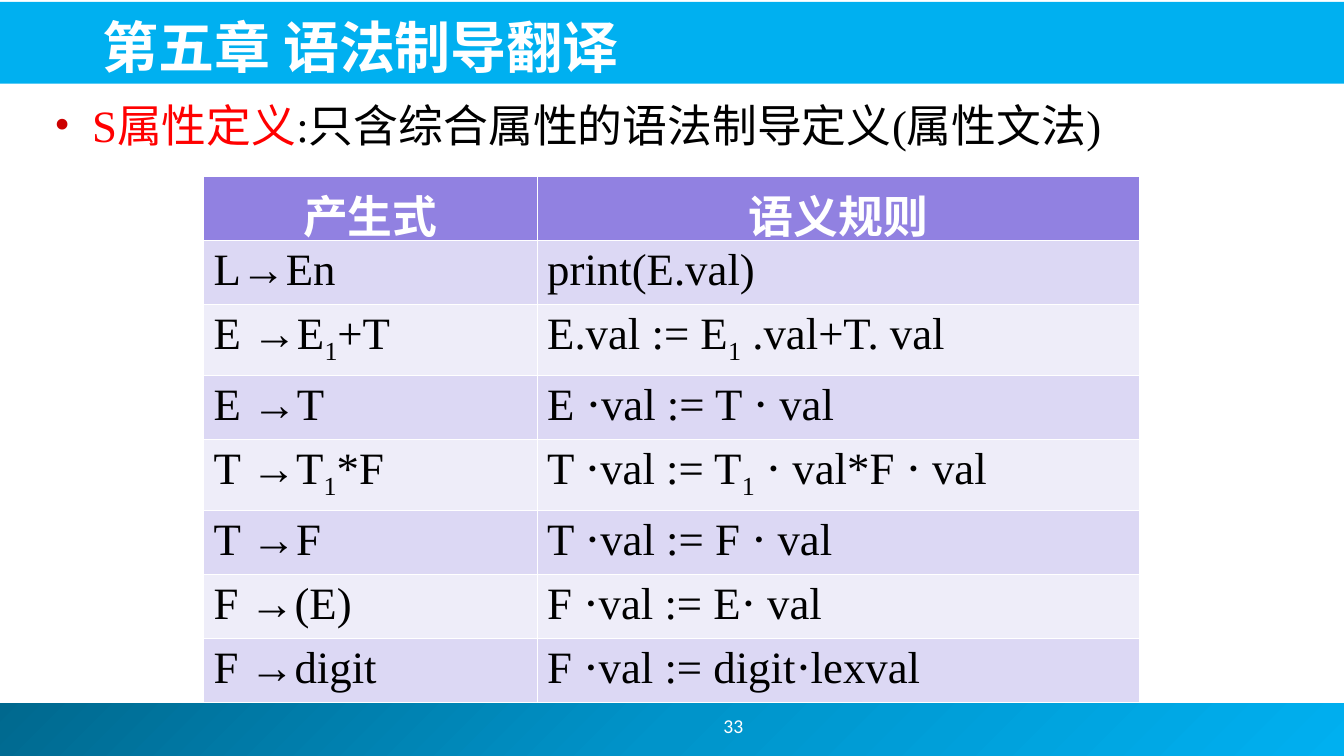
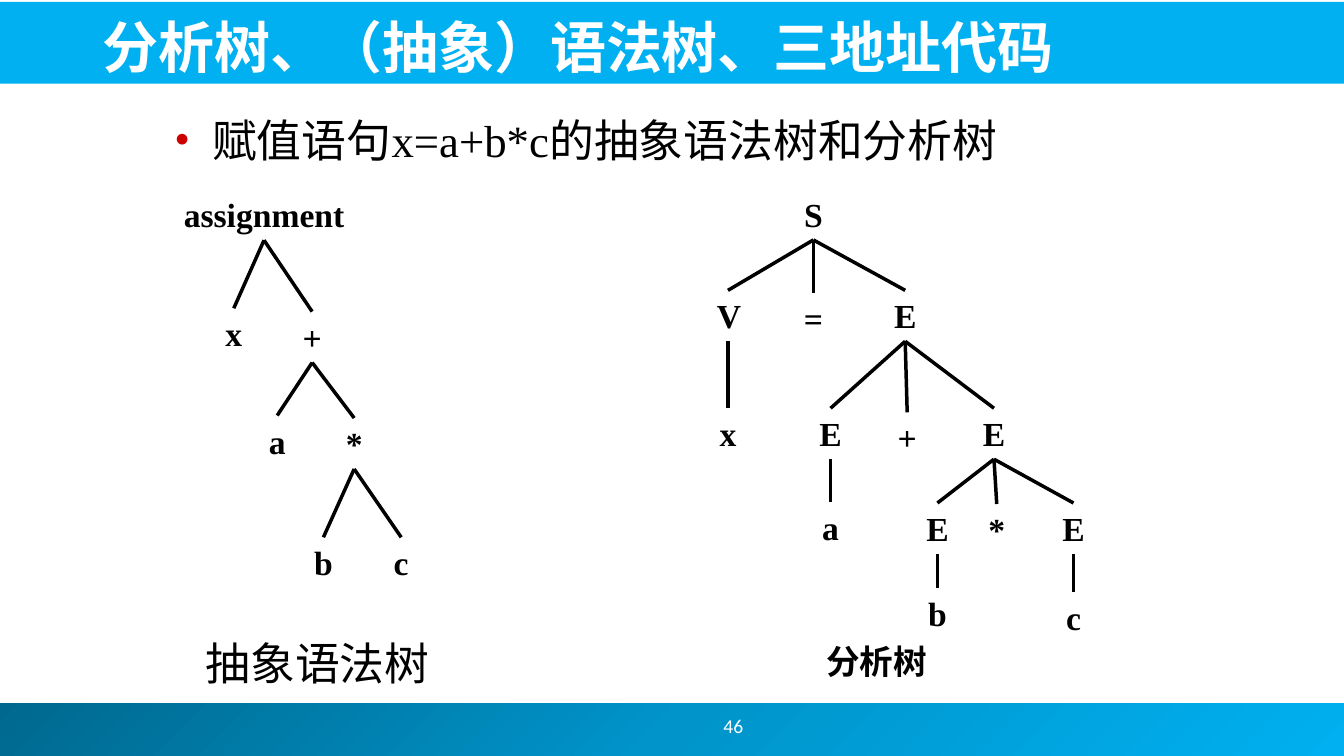
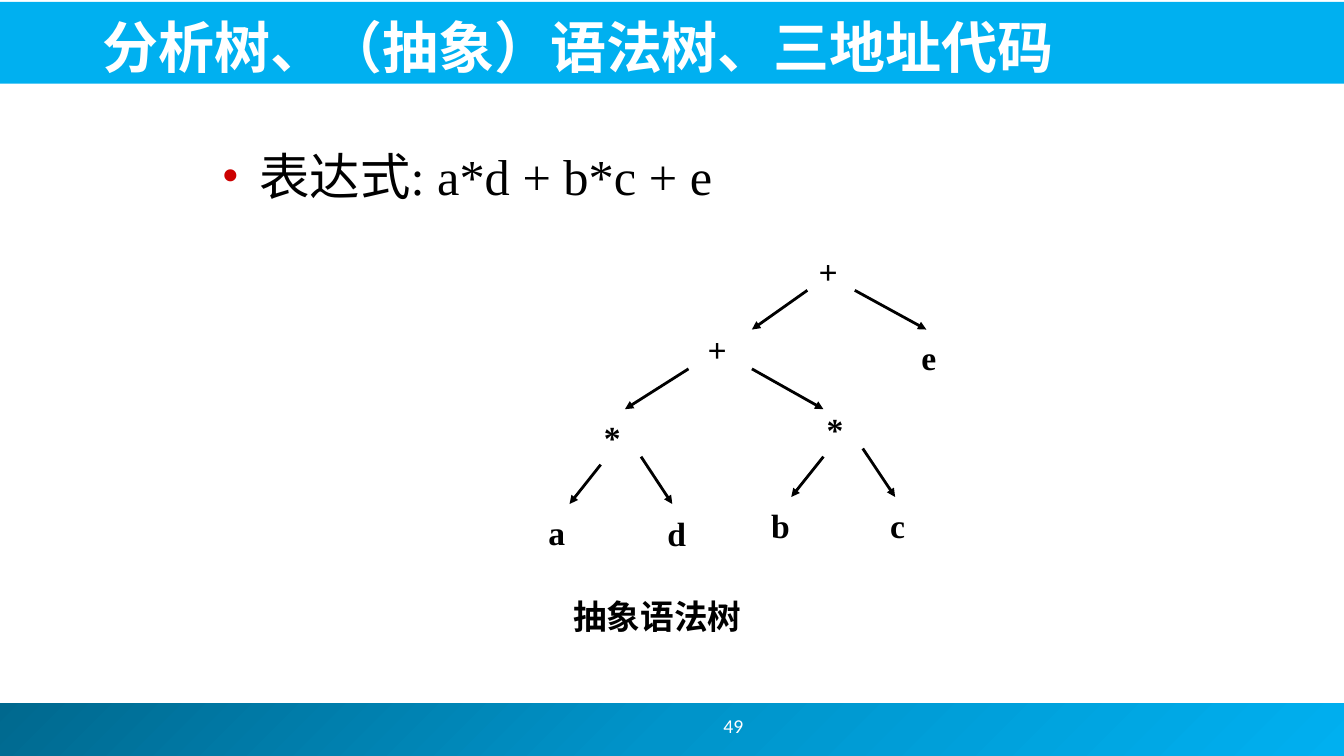
from copy import deepcopy

from pptx import Presentation
from pptx.dml.color import RGBColor
from pptx.enum.shapes import MSO_CONNECTOR, MSO_SHAPE
from pptx.enum.text import MSO_ANCHOR, PP_ALIGN
from pptx.oxml.ns import qn
from pptx.util import Pt
from lxml.etree import SubElement

COLORS = {
    "white": "FFFFFF", "black": "000000", "red": "FF0000", "bullet": "CC0000",
    "band": "00B0F0", "band_dark": "00688E", "band_middle": "0094CA",
    "header": "9181E1", "row_dark": "DCD8F4", "row_light": "EEEDF9",
}
SERIF, CHINESE, FOOTER = "Times New Roman", "Noto Sans CJK JP", "Calibri"
NODE_HEIGHT = 36.4
OVAL = (45.4, 39.6)


def rgb(name):
    return RGBColor.from_string(COLORS[name])


class Deck:
    """Hold the lecture style and the slide being drawn."""

    def __init__(self):
        self.presentation = Presentation()
        self.presentation.slide_width = Pt(960)
        self.presentation.slide_height = Pt(540)
        self.slide = None

    def add_slide(self, title, number):
        layout = self.presentation.slide_layouts[6]
        self.slide = self.presentation.slides.add_slide(layout)
        footer = self.shape(MSO_SHAPE.RECTANGLE, (-3.6, 502.4, 964, 37.6))
        footer.fill.gradient()
        footer.fill.gradient_angle = 315
        stops = footer.element.xpath(".//a:gsLst")[0]
        stops.insert(1, deepcopy(stops[0]))
        colors = ("band_dark", "band_middle", "band")
        for index, (stop, color) in enumerate(zip(footer.fill.gradient_stops, colors)):
            stop.position = index / 2
            stop.color.rgb = rgb(color)
        band = self.shape(MSO_SHAPE.RECTANGLE, (-1.4, 1.4, 962, 58.4))
        band.fill.solid()
        band.fill.fore_color.rgb = rgb("band")
        self.text(title, (66.2, 3.6, 862, 56.8), anchor=MSO_ANCHOR.BOTTOM,
                  name=CHINESE, size=40, bold=True, color="white")
        self.text(str(number), (419.8, 500.4, 208, 36), anchor=MSO_ANCHOR.MIDDLE,
                  align=PP_ALIGN.CENTER, name=FOOTER, size=14, color="white")

    def shape(self, kind, box):
        shape = self.slide.shapes.add_shape(kind, *map(Pt, box))
        shape.shadow.inherit = False
        shape.fill.background()
        shape.line.fill.background()
        return shape

    def add_runs(self, paragraph, text, name=SERIF, size=24, bold=False,
                 color="black", align=PP_ALIGN.LEFT):
        paragraph.alignment = align
        for index, part in enumerate(text.split("_")):
            run = paragraph.add_run()
            run.text = part
            formats = {"name": name, "size": Pt(size), "bold": bold}
            for attribute, value in formats.items():
                setattr(run.font, attribute, value)
            run.font.color.rgb = rgb(color)
            properties = run._r.get_or_add_rPr()
            SubElement(properties, qn("a:ea")).set("typeface", CHINESE)
            if index % 2:
                properties.set("baseline", "-25000")

    def text(self, text, box, anchor=MSO_ANCHOR.TOP, wrap=True, **formats):
        shape = self.slide.shapes.add_textbox(*map(Pt, box))
        shape.text_frame.word_wrap = wrap
        shape.text_frame.vertical_anchor = anchor
        self.add_runs(shape.text_frame.paragraphs[0], text, **formats)

    def bullet(self, parts, box, size=32):
        shape = self.slide.shapes.add_textbox(*map(Pt, box))
        shape.text_frame.word_wrap = True
        paragraph = shape.text_frame.paragraphs[0]
        properties = paragraph._p.get_or_add_pPr()
        properties.set("marL", str(Pt(27)))
        properties.set("indent", str(Pt(-27)))
        color = SubElement(properties, qn("a:buClr"))
        SubElement(color, qn("a:srgbClr")).set("val", COLORS["bullet"])
        SubElement(properties, qn("a:buFont")).set("typeface", SERIF)
        SubElement(properties, qn("a:buChar")).set("char", "•")
        for text, color_name in parts:
            self.add_runs(paragraph, text, size=size, color=color_name)

    def table(self, rows, left, top, widths, row_height):
        frame = self.slide.shapes.add_table(
            len(rows), len(widths), Pt(left), Pt(top),
            Pt(sum(widths)), Pt(row_height * len(rows)))
        table = frame.table
        for column, width in zip(table.columns, widths):
            column.width = Pt(width)
        for row_index, row in enumerate(rows):
            header = row_index == 0
            fill = "header" if header else ("row_light", "row_dark")[row_index % 2]
            for column_index, text in enumerate(row):
                cell = table.cell(row_index, column_index)
                cell.fill.solid()
                cell.fill.fore_color.rgb = rgb(fill)
                self.add_runs(cell.text_frame.paragraphs[0], text, size=32, bold=header,
                              color="white" if header else "black",
                              align=PP_ALIGN.CENTER if header else PP_ALIGN.LEFT)

    def line(self, start, end, width=2.5, arrow=False):
        connector = self.slide.shapes.add_connector(
            MSO_CONNECTOR.STRAIGHT, *map(Pt, (*start, *end)))
        connector.line.width = Pt(width)
        connector.line.color.rgb = rgb("black")
        if arrow:
            outline = connector.get_or_add_ln()
            SubElement(outline, qn("a:tailEnd")).set("type", "triangle")
        SubElement(connector.element.spPr, qn("a:effectLst"))

    def tree(self, text, x, top, *children):
        width = 15 * len(text) + 15
        self.text(text, (x - width / 2, top, width, NODE_HEIGHT), wrap=False,
                  bold=True, align=PP_ALIGN.CENTER)
        for child in children:
            self.line((x, top + NODE_HEIGHT), child[1:3])
            self.tree(*child)

    def oval(self, text, left, top):
        shape = self.shape(MSO_SHAPE.OVAL, (left, top, *OVAL))
        shape.text_frame.word_wrap = False
        shape.text_frame.vertical_anchor = MSO_ANCHOR.MIDDLE
        self.add_runs(shape.text_frame.paragraphs[0], text, bold=True)


RULES = [
    ("产生式", "语义规则"),
    ("L→En", "print(E.val)"),
    ("E →E_1_+T", "E.val := E_1_ .val+T. val"),
    ("E →T", "E ⋅val := T ⋅ val"),
    ("T →T_1_*F", "T ⋅val := T_1_ ⋅ val*F ⋅ val"),
    ("T →F", "T ⋅val := F ⋅ val"),
    ("F →(E)", "F ⋅val := E⋅ val"),
    ("F →digit", "F ⋅val := digit⋅lexval"),
]
SYNTAX_TREE = (
    "assignment", 188.6, 135.2,
    ("x", 167, 220.2),
    ("+", 223, 222.6,
     ("a", 198, 296.8),
     ("*", 253, 298.6, ("b", 231, 383.8), ("c", 286.6, 383.8))))
PARSE_TREE = (
    "S", 581, 135,
    ("V", 520, 207.4, ("x", 520, 291.6)),
    ("=", 581, 209.5),
    ("E", 646.6, 207.4,
     ("E", 593.3, 291.6, ("a", 593.3, 358.6)),
     ("+", 648, 294.5),
     ("E", 710, 291.6,
      ("E", 669.6, 359.3, ("b", 669.6, 419.8)),
      ("*", 712, 360),
      ("E", 766.8, 359.3, ("c", 766.8, 422.6)))))
OPERATORS = [
    ("+", 571, 173.5), ("+", 491.8, 229.7), ("e", 644.4, 235.4),
    ("*", 417.6, 292.3), ("*", 576.7, 286.6), ("a", 378, 360),
    ("d", 463, 360.7), ("b", 537.1, 355), ("c", 622.1, 355),
]
ARROWS = [
    ((576.7, 207.4), (537.1, 235.4)), ((610.6, 207.4), (661.7, 235.4)),
    ((491.8, 263.5), (446.4, 292.3)), ((537.1, 263.5), (588.2, 292.3)),
    ((429.1, 331.9), (406.8, 360)), ((457.9, 326.2), (480.2, 360)),
    ((588.2, 326.2), (565.2, 355)), ((616.3, 320.4), (639.4, 355)),
]
TREES_TITLE = "分析树、（抽象）语法树、三地址代码"


def main():
    deck = Deck()
    deck.add_slide("第五章 语法制导翻译", 33)
    deck.bullet([("S属性定义", "red"), (":只含综合属性的语法制导定义(属性文法)", "black")],
                (31.7, 66.2, 896, 62))
    deck.table(RULES, 145.4, 126, (238.3, 430.6), 45.6)

    deck.add_slide(TREES_TITLE, 46)
    deck.bullet([("赋值语句x=a+b*c的抽象语法树和分析树", "black")], (117.4, 77, 672, 48))
    deck.tree(*SYNTAX_TREE)
    deck.tree(*PARSE_TREE)
    deck.text("抽象语法树", (139.7, 450.7, 175.7, 46), wrap=False, size=32)
    deck.text("分析树", (583.2, 454.3, 87, 36.7), wrap=False, bold=True)

    deck.add_slide(TREES_TITLE, 49)
    deck.bullet([("表达式: a*d + b*c + e", "black")], (151.2, 100, 672, 54), size=36)
    for operator in OPERATORS:
        deck.oval(*operator)
    for start, end in ARROWS:
        deck.line(start, end, width=2, arrow=True)
    deck.text("抽象语法树", (402.5, 422, 278, 36), bold=True)
    deck.presentation.save("out.pptx")


if __name__ == "__main__":
    main()
